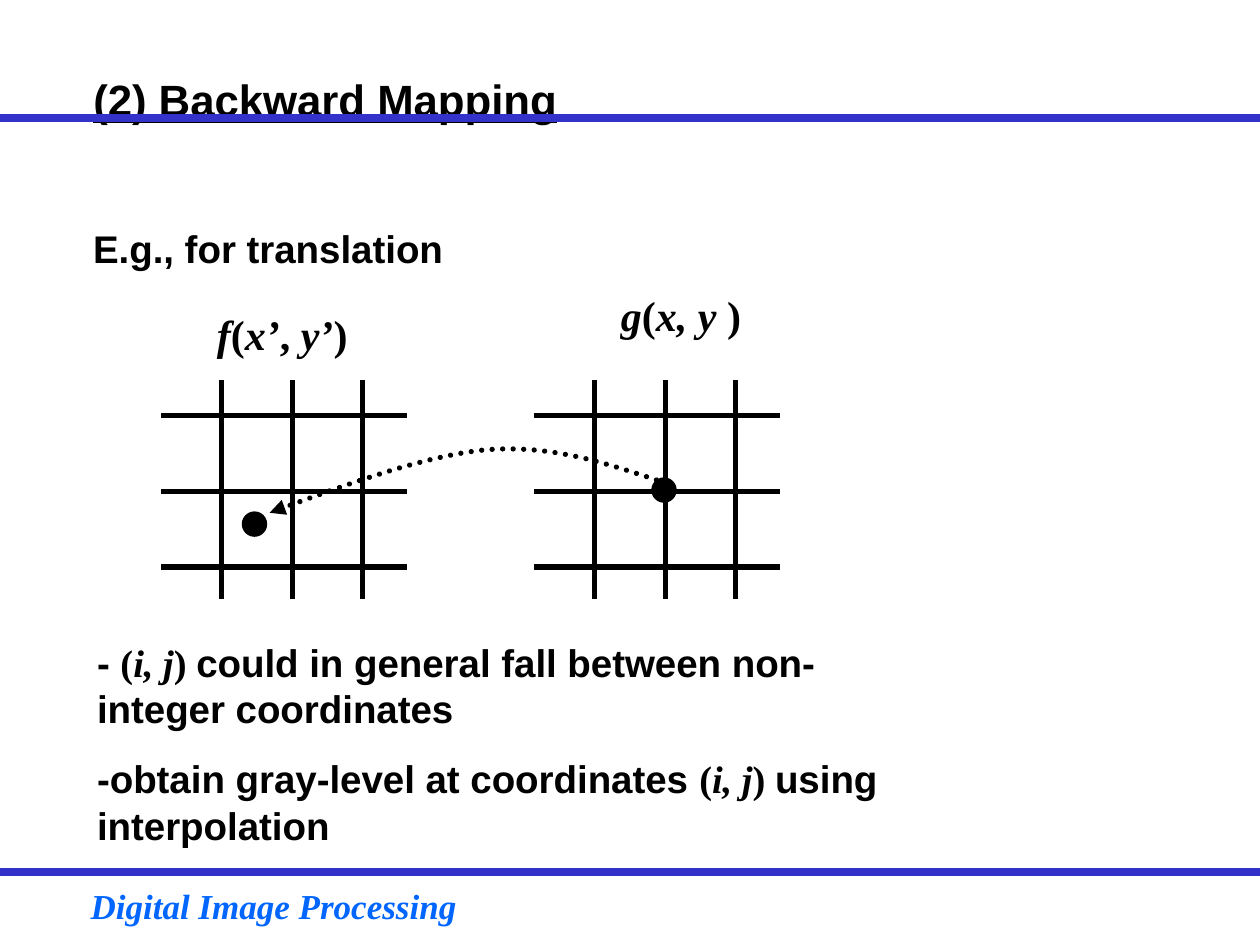
"""Build the backward mapping slide."""
from dataclasses import dataclass

from pptx import Presentation
from pptx.dml.color import RGBColor as Rgb
from pptx.enum.dml import MSO_LINE as Dash
from pptx.enum.shapes import MSO_CONNECTOR as Conn, MSO_SHAPE as Kind
from pptx.enum.text import MSO_ANCHOR as Anchor, MSO_AUTO_SIZE as Fit, PP_ALIGN as Align
from pptx.oxml.ns import qn
from pptx.util import Inches, Pt


@dataclass(frozen=True)
class Theme:
    """Hold the colours, fonts and type sizes."""
    ink: Rgb = Rgb.from_string("000000")
    rule: Rgb = Rgb.from_string("3333CC")
    foot: Rgb = Rgb.from_string("0066FF")
    sans: str = "Arial"
    serif: str = "Times New Roman"
    title: int = 25
    label: int = 24
    body: int = 22
    small: int = 20
    lead: float = 1.2
    gap: float = 13.8


class Deck:
    """Draw styled elements on the current slide."""

    def __init__(self, theme, slide):
        self.theme = theme
        self.slide = slide
        self.shapes = slide.shapes

    def words(self, shape, paras, size, tint=None, align=Align.LEFT,
              anchor=Anchor.TOP, wrap=True):
        """Fill a shape with paragraphs of (text, font, marks) runs."""
        frame = shape.text_frame
        frame.auto_size = Fit.NONE
        frame.word_wrap = wrap
        frame.vertical_anchor = anchor
        for i, runs in enumerate(paras):
            para = frame.add_paragraph() if i else frame.paragraphs[0]
            props = para._p.get_or_add_pPr()
            props.set("marL", "0")
            props.set("indent", "0")
            para.alignment = align
            para.line_spacing = Pt(size * self.theme.lead)
            para.space_before = Pt(self.theme.gap if i else 0)
            props.append(props.makeelement(qn("a:buNone"), {}))
            for text, face, marks in runs:
                run = para.add_run()
                run.text = text
                font = run.font
                font.name, font.size, font.bold = face, Pt(size), True
                font.italic, font.underline = "i" in marks, "u" in marks
                font.color.rgb = tint or self.theme.ink

    def hold(self, index, box, paras, size):
        """Place and fill a template placeholder."""
        shape = self.slide.placeholders[index]
        shape.left, shape.top, shape.width, shape.height = map(Inches, box)
        self.words(shape, paras, size)

    def text(self, box, runs, size, **style):
        """Add a text box of one paragraph."""
        self.words(self.shapes.add_textbox(*map(Inches, box)), [runs], size, **style)

    def line(self, x1, y1, x2, y2, tint=None, width=3):
        """Add a straight line."""
        line = self.shapes.add_connector(Conn.STRAIGHT, *map(Inches, (x1, y1, x2, y2)))
        line.line.color.rgb = tint or self.theme.ink
        line.line.width = Pt(width)
        props = line._element.spPr
        props.append(props.makeelement(qn("a:effectLst"), {}))

    def grid(self, left):
        """Add a three by three pixel grid."""
        for i in range(3):
            x, y = left + 0.48 + 0.56 * i, 3.3 + 0.6 * i
            self.line(x, 3.02, x, 4.75)
            self.line(left, y, left + 1.95, y)

    def dot(self, left, top):
        """Add a round sample point."""
        dot = self.shapes.add_shape(Kind.OVAL, *map(Inches, (left, top, 0.16, 0.16)))
        dot.shadow.inherit = False
        dot.fill.solid()
        dot.fill.fore_color.rgb = dot.line.color.rgb = self.theme.ink
        dot.line.width = Pt(3)

    def curve(self, start, bends, steps=24):
        """Add a dotted arrow along cubic bends."""
        pen = self.shapes.build_freeform(*map(Inches, start))
        points = []
        for a, b, end in bends:
            for i in range(1, steps + 1):
                t = i / steps
                u = 1 - t
                points.append(tuple(
                    Inches(u**3 * p + 3 * u * u * t * q + 3 * u * t * t * r + t**3 * s)
                    for p, q, r, s in zip(start, a, b, end)))
            start = end
        pen.add_line_segments(points, close=False)
        arc = pen.convert_to_shape()
        arc.shadow.inherit = False
        arc.fill.background()
        arc.line.color.rgb = self.theme.ink
        arc.line.width = Pt(3)
        arc.line.dash_style = Dash.ROUND_DOT
        stroke = arc._element.spPr.find(qn("a:ln"))
        stroke.set("cap", "rnd")
        stroke.append(stroke.makeelement(qn("a:tailEnd"), {"type": "triangle"}))


def main():
    """Build and save the slide."""
    show = Presentation()
    show.slide_width, show.slide_height = Inches(10), Inches(7.5)
    theme = Theme()
    deck = Deck(theme, show.slides.add_slide(show.slide_layouts[1]))
    sans, serif = theme.sans, theme.serif
    pair = [("(", serif, ""), ("i, j", serif, "i"), (") ", serif, "")]

    for y in (0.94, 6.92):
        deck.line(0, y, 10, y, theme.rule, 4.5)
    deck.text((0.62, 6.97, 3.15, 0.44), [("Digital Image Processing", serif, "i")],
              theme.small, tint=theme.foot)

    deck.hold(0, (0.64, 0.53, 6.64, 0.55),
              [[("(2) Backward Mapping", sans, "u")]], theme.title)
    deck.text((0.64, 1.74, 6.64, 0.5), [("E.g., for translation", sans, "")], theme.body)

    for left in (1.28, 4.24):
        deck.grid(left)
    deck.dot(1.94, 4.08)
    deck.dot(5.19, 3.81)
    deck.hold(1, (0.67, 5.02, 6.64, 1.76), [
        [("- ", sans, ""), *pair,
         ("could in general fall between non-integer coordinates", sans, "")],
        [("-obtain gray-level at coordinates ", sans, ""), *pair,
         ("using interpolation", sans, "")],
    ], theme.body)
    deck.curve((5.21, 3.81), [
        ((4.79, 3.67), (4.37, 3.53), (3.86, 3.57)),
        ((3.35, 3.62), (2.74, 3.85), (2.14, 4.07)),
    ])

    mid = dict(align=Align.CENTER, anchor=Anchor.MIDDLE, wrap=False)
    deck.text((1.62, 2.4, 1.24, 0.5), [
        ("f", serif, "i"), ("(", serif, ""), ("x’", serif, "i"),
        (", ", serif, ""), ("y’", serif, "i"), (")", serif, ""),
    ], theme.label, **mid)
    deck.text((4.83, 2.25, 1.15, 0.5), [
        ("g", serif, "i"), ("(", serif, ""), ("x, y ", serif, "i"), (")", serif, ""),
    ], theme.label, **mid)
    show.save("out.pptx")


if __name__ == "__main__":
    main()
